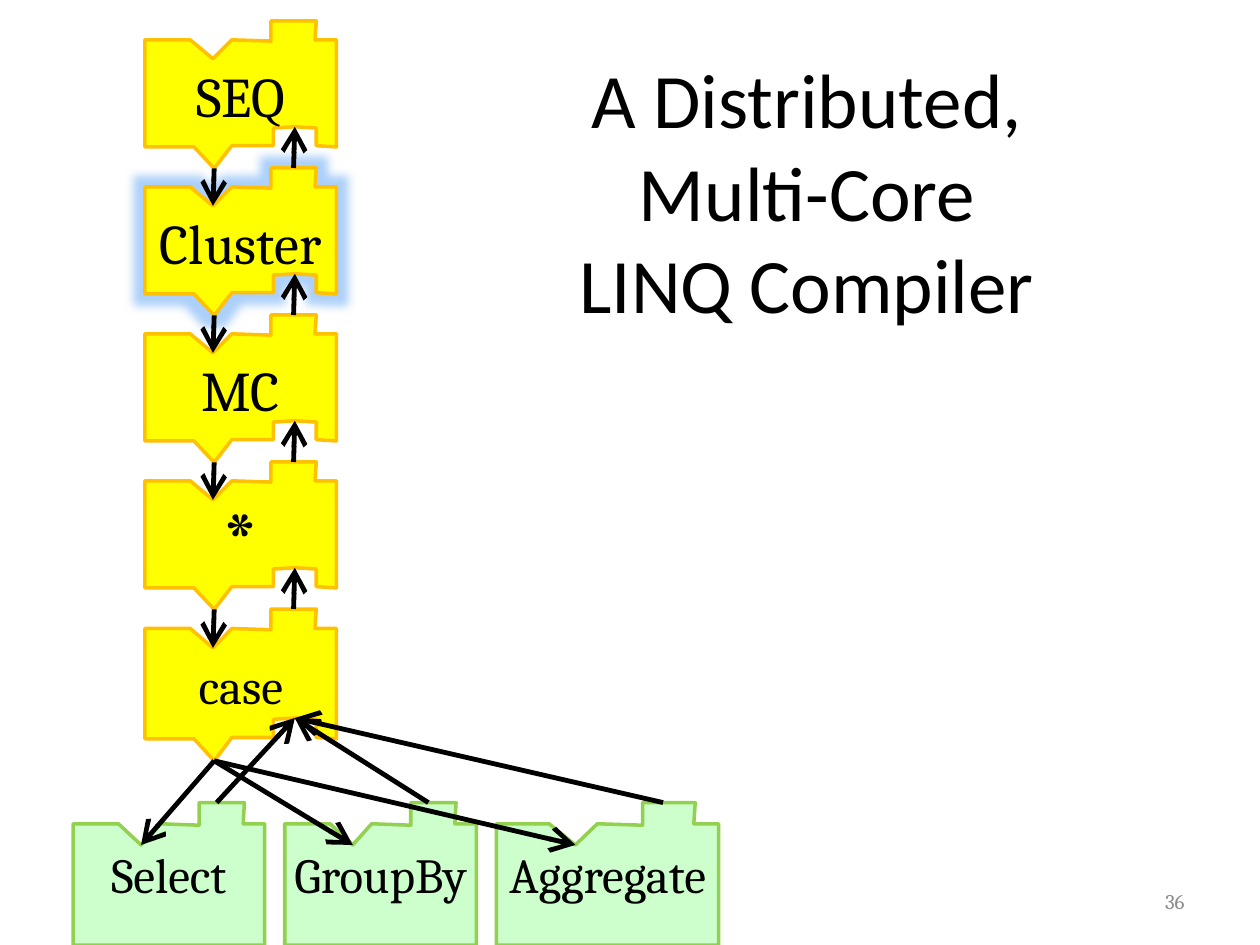
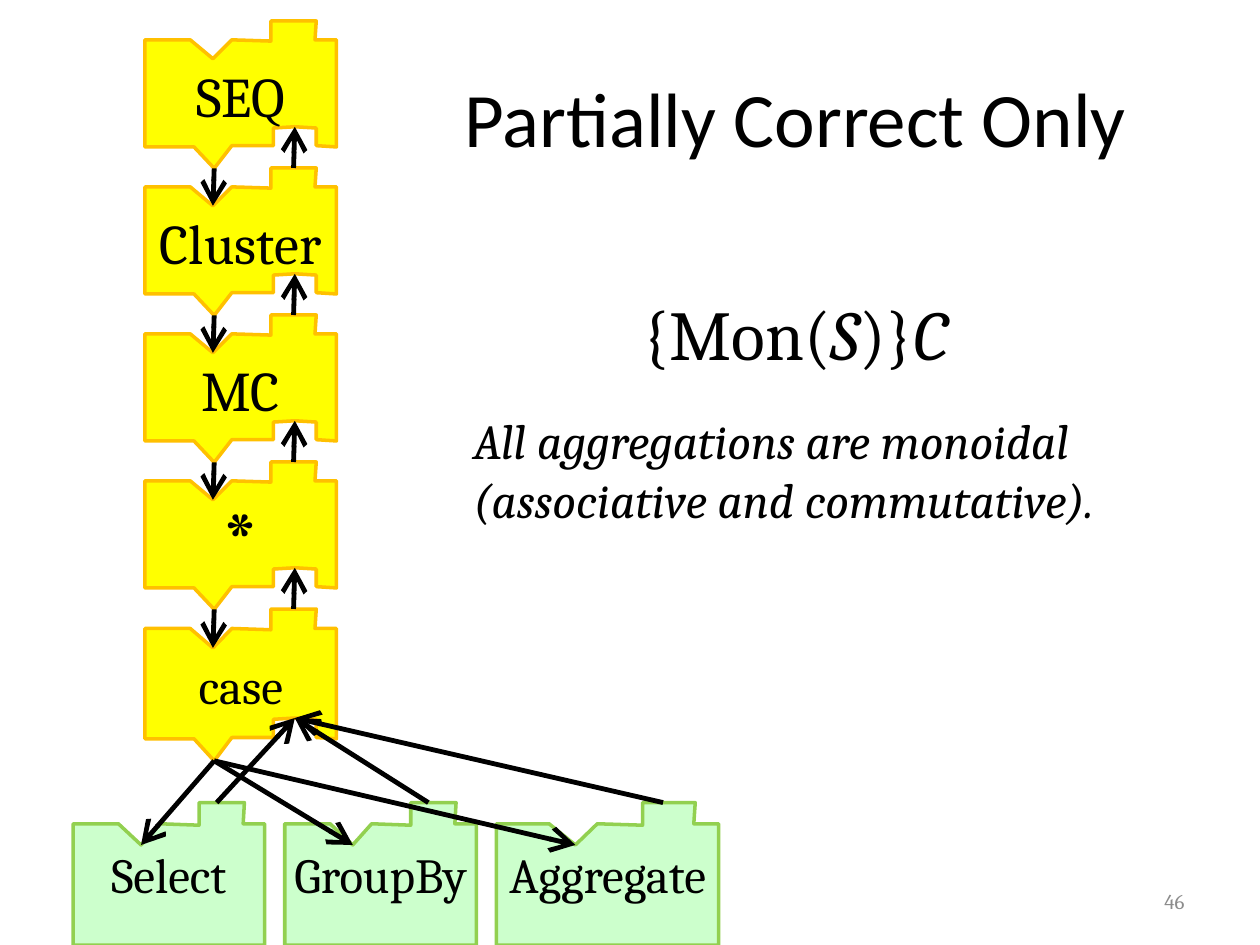
"""Builds two slides on a compiler made of stacked, interlocking blocks."""
import lxml.etree
import pptx
import pptx.dml.color
import pptx.enum.shapes
import pptx.enum.text
import pptx.oxml.ns
import pptx.util

WIDTH, HEIGHT = 10, 7.5
COLOURS = {
    "ink": "000000", "number": "8C8C8C", "glow": "5AA2F5",
    "stage": "FFFF00", "stage edge": "FFC000",
    "operator": "CCFFCC", "operator edge": "92D050",
}
HEAD_FONT, BODY_FONT = "Calibri", "Cambria"

PAGES = [
    {
        "title": "A Distributed,\nMulti-Core\nLINQ Compiler",
        "title at": (3.46, -0.33, 5.89, 3.68),
        "number": "36",
        "glowing": "Cluster",
        "notes": [],
    },
    {
        "title": "Partially Correct Only",
        "title at": (3.13, 0.3, 6.37, 1.25),
        "number": "46",
        "glowing": None,
        "notes": [
            ((5, 2.26, 2.73, 0.77), 40,
             [[("{Mon(", False), ("S", True), (")}", False), ("C", True)]]),
            ((3.66, 3.21, 5.4, 1.04), 28,
             [[("All aggregations are monoidal", True)],
              [("(associative and commutative).", True)]]),
        ],
    },
]
STAGES = [("SEQ", 32), ("Cluster", 32), ("MC", 32), ("*", 48), ("case", 28)]
OPERATORS = [("Select", 1), ("GroupBy", 1), ("Aggregate", 1.16)]

STAGE_LEFT, STAGE_TOP, STAGE_PITCH = 1.15, 1 / 6, 7 / 6
OPERATOR_LEFT, OPERATOR_TOP, OPERATOR_PITCH = 0.58, 6.37, 1.68
CASE_STRETCH, OPERATOR_STRETCH = 1.03, 1.12

UPPER_EDGE = [(0, 0.15), (0.36, 0.15), (0.54, 0.3), (0.69, 0.15), (1, 0.16),
              (1, 0), (1.36, 0), (1.35, 0.15), (1.52, 0.15)]
JOINED_EDGE = [(1.52, 1), (1.36, 0.99), (1.36, 0.85), (1.19, 0.84), (1.02, 0.85),
               (1.02, 0.99), (0.69, 0.99), (0.55, 1.17), (0.39, 1), (0, 1)]
FLAT_EDGE = [(1.52, 1.01), (0, 1.01)]
NOTCH, TAB, TIP, SLOT = (0.54, 0.3), (1.18, 0), (0.55, 1.17), (1.19, 0.84)
OPERATOR_TAB = (1.14, 0)


def rgb(name):
    return pptx.dml.color.RGBColor.from_string(COLOURS[name])


def place(frame, point):
    left, top, across, down = frame
    return (pptx.util.Inches(left + point[0] * across),
            pptx.util.Inches(top + point[1] * down))


def style(font, size, colour="ink", family=BODY_FONT):
    font.name, font.size = family, pptx.util.Pt(size)
    font.color.rgb = rgb(colour)


def add_block(page, frame, lower_edge, label, size, kind):
    points = [place(frame, point) for point in UPPER_EDGE + lower_edge]
    builder = page.shapes.build_freeform(*points[0])
    builder.add_line_segments(points[1:], close=True)
    block = builder.convert_to_shape()
    block.shadow.inherit = False
    block.fill.solid()
    block.fill.fore_color.rgb = rgb(kind)
    block.line.color.rgb = rgb(kind + " edge")
    block.line.width = pptx.util.Pt(2)
    text_frame = block.text_frame
    text_frame.text = label
    text_frame.word_wrap = False
    text_frame.vertical_anchor = pptx.enum.text.MSO_ANCHOR.MIDDLE
    para = text_frame.paragraphs[0]
    para.alignment = pptx.enum.text.PP_ALIGN.CENTER
    style(para.runs[0].font, size)
    return block


def add_glow(block):
    qn = pptx.oxml.ns.qn
    effects = block._element.spPr.find(qn("a:effectLst"))
    glow = lxml.etree.SubElement(effects, qn("a:glow"), rad="139700")
    colour = lxml.etree.SubElement(glow, qn("a:srgbClr"), val=COLOURS["glow"])
    lxml.etree.SubElement(colour, qn("a:alpha"), val="50000")


def add_arrow(page, start, end):
    qn = pptx.oxml.ns.qn
    arrow = page.shapes.add_connector(
        pptx.enum.shapes.MSO_CONNECTOR.STRAIGHT, *start, *end)
    arrow.line.color.rgb = rgb("ink")
    arrow.line.width = pptx.util.Pt(2.75)
    properties = arrow._element.spPr
    lxml.etree.SubElement(properties.find(qn("a:ln")), qn("a:tailEnd"),
                          type="arrow", w="lg", len="lg")
    lxml.etree.SubElement(properties, qn("a:effectLst"))


def link(page, upper, lower, lower_tab=TAB):
    add_arrow(page, place(upper, TIP), place(lower, NOTCH))
    add_arrow(page, place(lower, lower_tab), place(upper, SLOT))


def add_box(page, at, wrap):
    box = page.shapes.add_textbox(*[pptx.util.Inches(value) for value in at])
    box.text_frame.word_wrap = wrap
    return box.text_frame


def add_line_text(page, at, text, align, size, colour, family):
    text_frame = add_box(page, at, True)
    text_frame.text = text
    text_frame.vertical_anchor = pptx.enum.text.MSO_ANCHOR.MIDDLE
    for para in text_frame.paragraphs:
        para.alignment = align
        style(para.runs[0].font, size, colour, family)


def add_note(page, at, size, lines):
    text_frame = add_box(page, at, False)
    for index, spans in enumerate(lines):
        para = text_frame.add_paragraph() if index else text_frame.paragraphs[0]
        for text, italic in spans:
            span = para.add_run()
            span.text = text
            style(span.font, size)
            span.font.italic = italic


def add_stack(page, glowing):
    last = len(STAGES) - 1
    frames = [(STAGE_LEFT, STAGE_TOP + row * STAGE_PITCH, 1,
               CASE_STRETCH if row == last else 1) for row in range(last + 1)]
    operator_frames = [(OPERATOR_LEFT + column * OPERATOR_PITCH, OPERATOR_TOP,
                        across, OPERATOR_STRETCH)
                       for column, (label, across) in enumerate(OPERATORS)]
    for (label, across), frame in zip(OPERATORS, operator_frames):
        add_block(page, frame, FLAT_EDGE, label, 28, "operator")
    for row in range(last, -1, -1):
        label, size = STAGES[row]
        block = add_block(page, frames[row], JOINED_EDGE, label, size, "stage")
        if label == glowing:
            add_glow(block)
        if row < last:
            link(page, frames[row], frames[row + 1])
        else:
            for frame in operator_frames:
                link(page, frames[row], frame, OPERATOR_TAB)


def main():
    align = pptx.enum.text.PP_ALIGN
    deck = pptx.Presentation()
    deck.slide_width = pptx.util.Inches(WIDTH)
    deck.slide_height = pptx.util.Inches(HEIGHT)
    for content in PAGES:
        page = deck.slides.add_slide(deck.slide_layouts[6])
        add_line_text(page, content["title at"], content["title"],
                      align.CENTER, 44, "ink", HEAD_FONT)
        add_line_text(page, (7.17, 6.95, 2.33, 0.4), content["number"],
                      align.RIGHT, 12, "number", BODY_FONT)
        add_stack(page, content["glowing"])
        for at, size, lines in content["notes"]:
            add_note(page, at, size, lines)
    deck.save("out.pptx")


if __name__ == "__main__":
    main()
